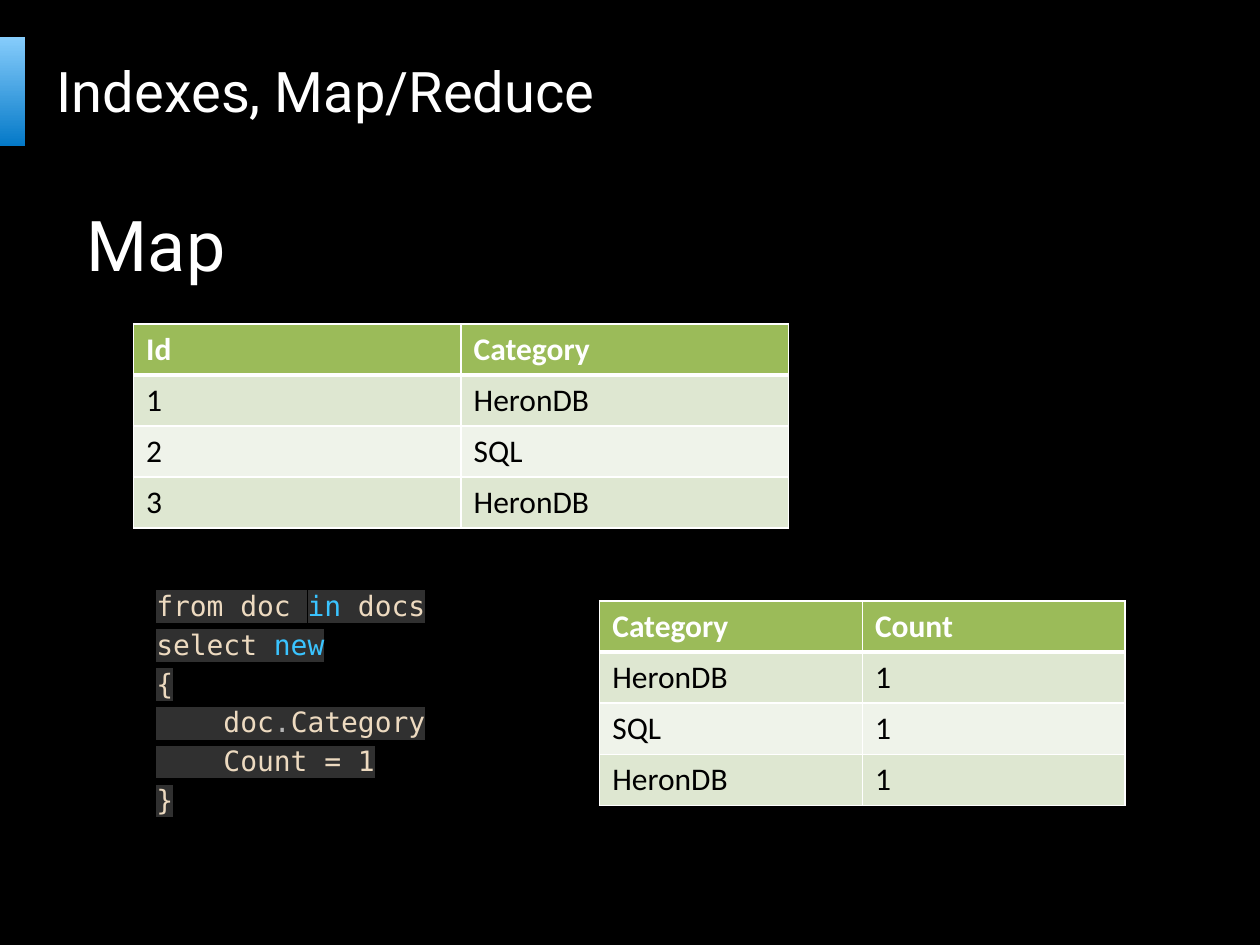
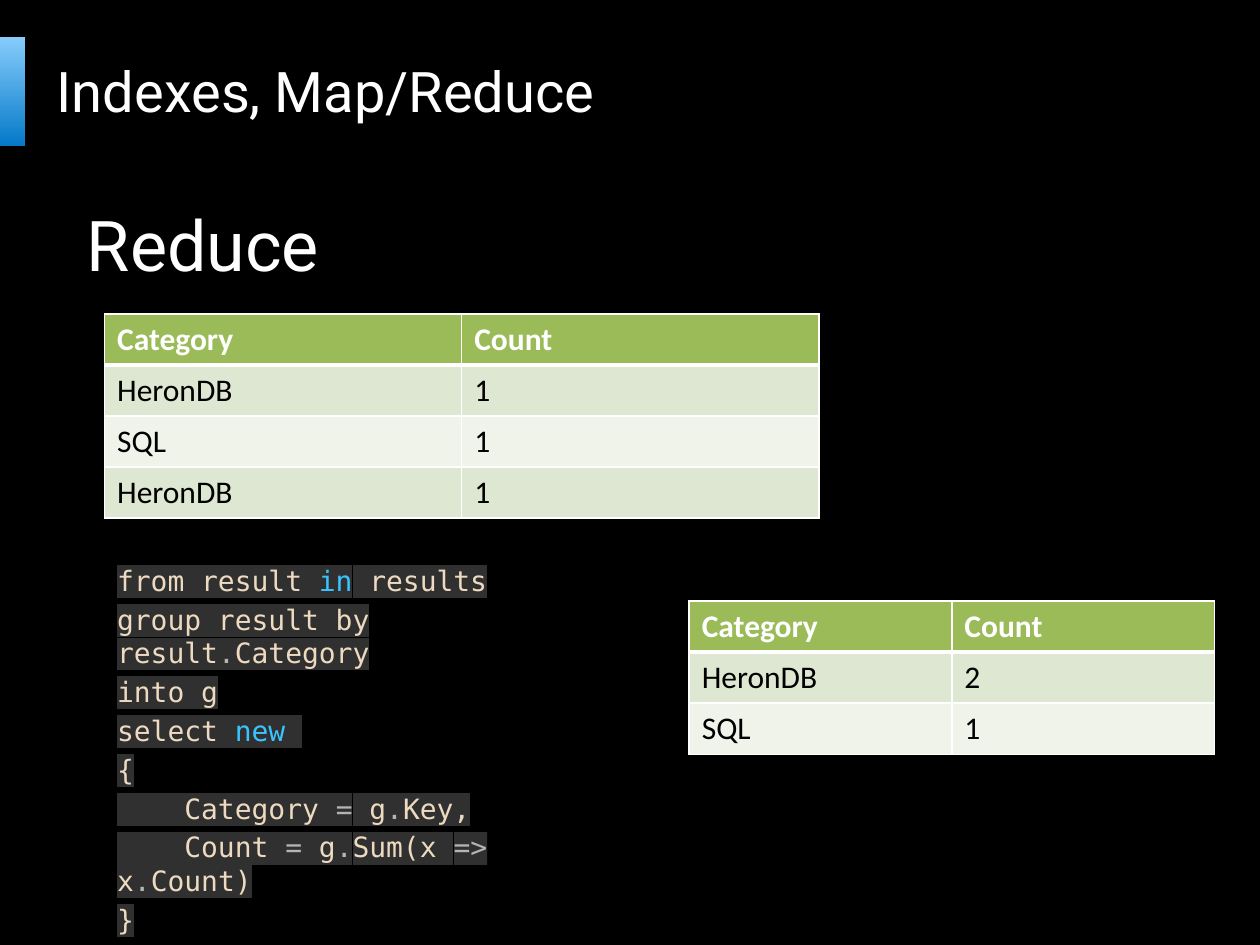
from lxml.etree import SubElement
from pptx import Presentation
from pptx.dml.color import RGBColor
from pptx.enum.shapes import MSO_SHAPE
from pptx.enum.text import MSO_ANCHOR, MSO_AUTO_SIZE, PP_ALIGN
from pptx.oxml.ns import qn
from pptx.util import Inches, Pt

HEADING_FONT, TABLE_FONT, CODE_FONT = "Roboto", "Calibri", "DejaVu Sans Mono"
WHITE, BLACK = "FFFFFF", "000000"
HEADER_FILL, BAND_FILLS = "9BBB59", ("DEE7D1", "EFF3EA")
CODE_COLOR, CODE_BACK = "EDDAC0", "303030"
KEYWORD, OPERATOR = "3AC4FF", "B4B4B4"
TOKEN_COLORS = {"in": KEYWORD, "new": KEYWORD,
                ".": OPERATOR, "=": OPERATOR, "=>": OPERATOR}
ROW_HEIGHT = Inches(1.62) // 4


def rgb(color):
    return RGBColor.from_string(color)


def add_color(parent, tag, color):
    SubElement(SubElement(parent, qn(tag)), qn("a:srgbClr"), val=color)


class Deck:
    def __init__(self):
        self.prs = Presentation()
        self.prs.slide_width, self.prs.slide_height = Inches(10), Inches(7.5)
        fill = self.prs.slide_master.background.fill
        fill.solid()
        fill.fore_color.rgb = rgb(BLACK)

    def new_slide(self, title):
        self.s = self.prs.slides.add_slide(self.prs.slide_layouts[3])
        self.band()
        tf = self.place(0, 0.35, 0.29, 9.29, 0.85)
        tf.vertical_anchor = MSO_ANCHOR.MIDDLE
        self.paragraph(tf.paragraphs[0], HEADING_FONT, 32, WHITE, title)

    def band(self):
        sp = self.s.shapes.add_shape(MSO_SHAPE.RECTANGLE, 0, Inches(0.29),
                                     Inches(0.2), Inches(0.87))
        sp.shadow.inherit = False
        sp.line.fill.background()
        sp.fill.gradient()
        sp.fill.gradient_angle = 270
        for stop, color in zip(sp.fill.gradient_stops, ("87CDFC", "0479C8")):
            stop.color.rgb = rgb(color)

    def place(self, idx, x, y, w, h):
        """Move a placeholder and return its text frame."""
        sp = self.s.placeholders[idx]
        sp.left, sp.top, sp.width, sp.height = map(Inches, (x, y, w, h))
        tf = sp.text_frame
        tf.word_wrap = True
        tf.auto_size = MSO_AUTO_SIZE.NONE
        return tf

    def paragraph(self, p, font, size, color, text="", bold=False):
        p.alignment = PP_ALIGN.LEFT
        p.font.name, p.font.size, p.font.bold = font, Pt(size), bold
        p.font.color.rgb = rgb(color)
        if text:
            p.add_run().text = text

    def plain(self, p, space_before):
        """Drop the bullet and indent of a body paragraph."""
        p.space_before = Pt(space_before)
        pPr = p._p.get_or_add_pPr()
        pPr.set("marL", "0")
        pPr.set("indent", "0")
        pPr.insert_element_before(pPr.makeelement(qn("a:buNone")),
                                  "a:tabLst", "a:defRPr", "a:extLst")

    def heading(self, text, w):
        p = self.place(1, 0.59, 1.55, w, 0.71).paragraphs[0]
        self.paragraph(p, HEADING_FONT, 40, WHITE, text)
        self.plain(p, 8)

    def code(self, x, y, w, lines):
        """Write code lines; "|" separates differently coloured tokens."""
        tf = self.place(2, x, y, w, 1.89)
        for i, line in enumerate(lines):
            p = tf.add_paragraph() if i else tf.paragraphs[0]
            self.paragraph(p, CODE_FONT, 16, CODE_COLOR)
            self.plain(p, 3)
            for token in line.split("|"):
                r = p.add_run()
                r.text = token
                r.font.color.rgb = rgb(TOKEN_COLORS.get(token, CODE_COLOR))
                add_color(r.font._element, "a:highlight", CODE_BACK)

    def table(self, x, y, w, rows):
        table = self.s.shapes.add_table(
            len(rows), len(rows[0]), Inches(x), Inches(y), Inches(w),
            ROW_HEIGHT * len(rows)).table
        for i, row in enumerate(rows):
            header = i == 0
            for j, text in enumerate(row):
                cell = table.cell(i, j)
                self.borders(cell, top=3 if i == 1 else 1,
                             bottom=3 if header else 1)
                cell.fill.solid()
                cell.fill.fore_color.rgb = rgb(
                    HEADER_FILL if header else BAND_FILLS[(i - 1) % 2])
                self.paragraph(cell.text_frame.paragraphs[0], TABLE_FONT, 18,
                               WHITE if header else BLACK, text, header)

    def borders(self, cell, top, bottom):
        tcPr = cell._tc.get_or_add_tcPr()
        for side, width in (("L", 1), ("R", 1), ("T", top), ("B", bottom)):
            ln = SubElement(tcPr, qn(f"a:ln{side}"), w=str(Pt(width)))
            add_color(ln, "a:solidFill", WHITE)


def main():
    deck = Deck()
    title = "Indexes, Map/Reduce"
    mapped = [("Category", "Count"), ("HeronDB", "1"), ("SQL", "1"),
              ("HeronDB", "1")]

    # Map
    deck.new_slide(title)
    deck.heading("Map", 1.81)
    deck.table(1.06, 2.57, 5.2, [("Id", "Category"), ("1", "HeronDB"),
                                 ("2", "SQL"), ("3", "HeronDB")])
    deck.code(1.14, 4.62, 2.52, ["from doc |in| docs", "select |new", "{",
                                 "    doc|.|Category", "    Count = 1", "}"])
    deck.table(4.76, 4.77, 4.17, mapped)

    # Reduce
    deck.new_slide(title)
    deck.heading("Reduce", 2.05)
    deck.table(0.83, 2.49, 5.67, mapped)
    deck.code(0.83, 4.42, 4.02, [
        "from result |in| results", "group result by result|.|Category",
        "into g", "select |new| ", "{", "    Category |=| g|.|Key,",
        "    Count |=| g|.|Sum(x |=>| x|.|Count)", "}"])
    deck.table(5.47, 4.77, 4.17, [("Category", "Count"), ("HeronDB", "2"),
                                  ("SQL", "1")])

    deck.prs.save("out.pptx")


if __name__ == "__main__":
    main()
